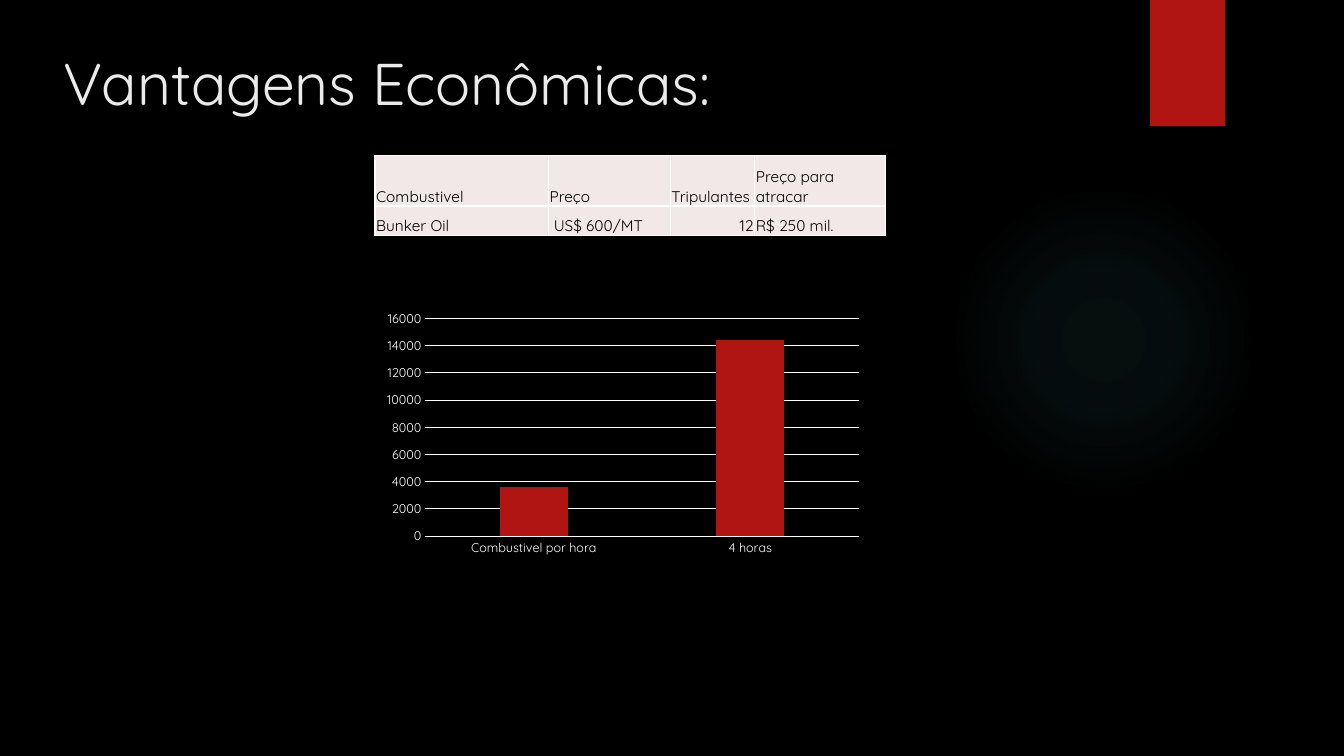
from lxml.etree import SubElement
from pptx import Presentation
from pptx.chart.data import CategoryChartData
from pptx.dml.color import RGBColor
from pptx.enum.chart import XL_CHART_TYPE, XL_TICK_MARK
from pptx.enum.shapes import MSO_SHAPE
from pptx.enum.text import MSO_ANCHOR, MSO_AUTO_SIZE, PP_ALIGN
from pptx.oxml import parse_xml
from pptx.oxml.ns import nsdecls, qn
from pptx.util import Cm, Pt

RED, WHITE = "B01513", "FFFFFF"


def rgb(color):
    return RGBColor.from_string(color)


def style(font, size, color):
    font.name = "Quicksand"
    font.size = Pt(size)
    font.color.rgb = rgb(color)


prs = Presentation()
prs.slide_width, prs.slide_height = Cm(33.87), Cm(19.05)
slide = prs.slides.add_slide(prs.slide_layouts[5])
slide.background.fill.solid()
slide.background.fill.fore_color.rgb = rgb("000000")

title = slide.shapes.title
title.left, title.top, title.width, title.height = Cm(1.35), Cm(1.04), Cm(26.14), Cm(3.89)
title.text_frame.text = "Vantagens Econômicas:"
title.text_frame.word_wrap = True
title.text_frame.auto_size = MSO_AUTO_SIZE.NONE
title.text_frame.vertical_anchor = MSO_ANCHOR.TOP
title.text_frame.paragraphs[0].alignment = PP_ALIGN.LEFT
style(title.text_frame.paragraphs[0].runs[0].font, 42, "EBEBEB")

glow = slide.shapes.add_shape(MSO_SHAPE.OVAL, Cm(23.9), Cm(4.65), Cm(7.82), Cm(7.82))
glow.shadow.inherit = False
glow.line.fill.background()
stops = "".join(
    f'<a:gs pos="{pos}000"><a:srgbClr val="50B9C1"><a:alpha val="{alpha}000"/></a:srgbClr></a:gs>'
    for pos, alpha in [(0, 7), (36, 6), (69, 0)]
)
glow.element.spPr.find(qn("a:prstGeom")).addnext(parse_xml(
    f'<a:gradFill {nsdecls("a")}><a:gsLst>{stops}</a:gsLst><a:path path="circle">'
    '<a:fillToRect l="50000" t="50000" r="50000" b="50000"/></a:path></a:gradFill>'
))

ribbon = slide.shapes.add_shape(MSO_SHAPE.RECTANGLE, Cm(28.98), 0, Cm(1.9), Cm(3.18))
ribbon.shadow.inherit = False
ribbon.fill.solid()
ribbon.fill.fore_color.rgb = rgb(RED)
ribbon.line.fill.background()

costs = [
    ["Combustivel", "Preço", "Tripulantes", "Preço para atracar"],
    ["Bunker Oil", " US$ 600/MT", "12", "R$ 250 mil."],
]
widths, heights = [4.37, 3.07, 2.13, 3.3], [1.28, 0.75]
cost_table = slide.shapes.add_table(
    2, 4, Cm(9.45), Cm(3.91), Cm(sum(widths)), Cm(sum(heights))
).table
cost_table.first_row = cost_table.horz_banding = False
for column, width in zip(cost_table.columns, widths):
    column.width = Cm(width)
for row, height, values in zip(cost_table.rows, heights, costs):
    row.height = Cm(height)
    for cell, value in zip(row.cells, values):
        cell.text_frame.text = value
        cell.vertical_anchor = MSO_ANCHOR.BOTTOM
        cell.margin_left = cell.margin_right = cell.margin_top = Cm(0.03)
        cell.margin_bottom = 0
        paragraph = cell.text_frame.paragraphs[0]
        paragraph.alignment = PP_ALIGN.RIGHT if value.isdigit() else PP_ALIGN.LEFT
        style(paragraph.runs[0].font, 11, "000000")
        borders = cell._tc.get_or_add_tcPr()
        for side in ("lnL", "lnR", "lnT", "lnB"):
            border = SubElement(borders, qn(f"a:{side}"), w=str(Pt(1)))
            SubElement(SubElement(border, qn("a:solidFill")), qn("a:srgbClr"), val=WHITE)
        cell.fill.solid()
        cell.fill.fore_color.rgb = rgb("F2E8E7")

fuel_data = CategoryChartData()
fuel_data.categories = ["Combustivel por hora", "4 horas"]
fuel_data.add_series("Series 1", [3600, 14400])
fuel_chart = slide.shapes.add_chart(
    XL_CHART_TYPE.COLUMN_CLUSTERED, Cm(9.45), Cm(6.5), Cm(12.7), Cm(7.62), fuel_data
).chart
fuel_chart.has_legend = False
fuel_chart.has_title = False
style(fuel_chart.font, 10, WHITE)

bars = fuel_chart.plots[0]
bars.gap_width, bars.overlap = 219, -27
bars.vary_by_categories = False
bars.series[0].format.fill.solid()
bars.series[0].format.fill.fore_color.rgb = rgb(RED)

for axis in (fuel_chart.category_axis, fuel_chart.value_axis):
    axis.major_tick_mark = axis.minor_tick_mark = XL_TICK_MARK.NONE
    style(axis.tick_labels.font, 9, WHITE)
fuel_chart.value_axis.maximum_scale = 16000
fuel_chart.value_axis.major_unit = 2000
fuel_chart.value_axis.format.line.fill.background()
for line in (fuel_chart.category_axis.format.line, fuel_chart.value_axis.major_gridlines.format.line):
    line.color.rgb = rgb(WHITE)
    line.width = Pt(0.75)

plot_area = fuel_chart.element.find(".//" + qn("c:plotArea"))
for automatic in plot_area.findall(qn("c:layout")):
    plot_area.remove(automatic)
placement = [
    ("layoutTarget", "inner"), ("xMode", "edge"), ("yMode", "edge"),
    ("x", 0.1), ("y", 0.2), ("w", 0.86), ("h", 0.72),
]
settings = "".join(f'<c:{key} val="{value}"/>' for key, value in placement)
plot_area.insert(0, parse_xml(
    f'<c:layout {nsdecls("c")}><c:manualLayout>{settings}</c:manualLayout></c:layout>'
))

prs.save("out.pptx")
